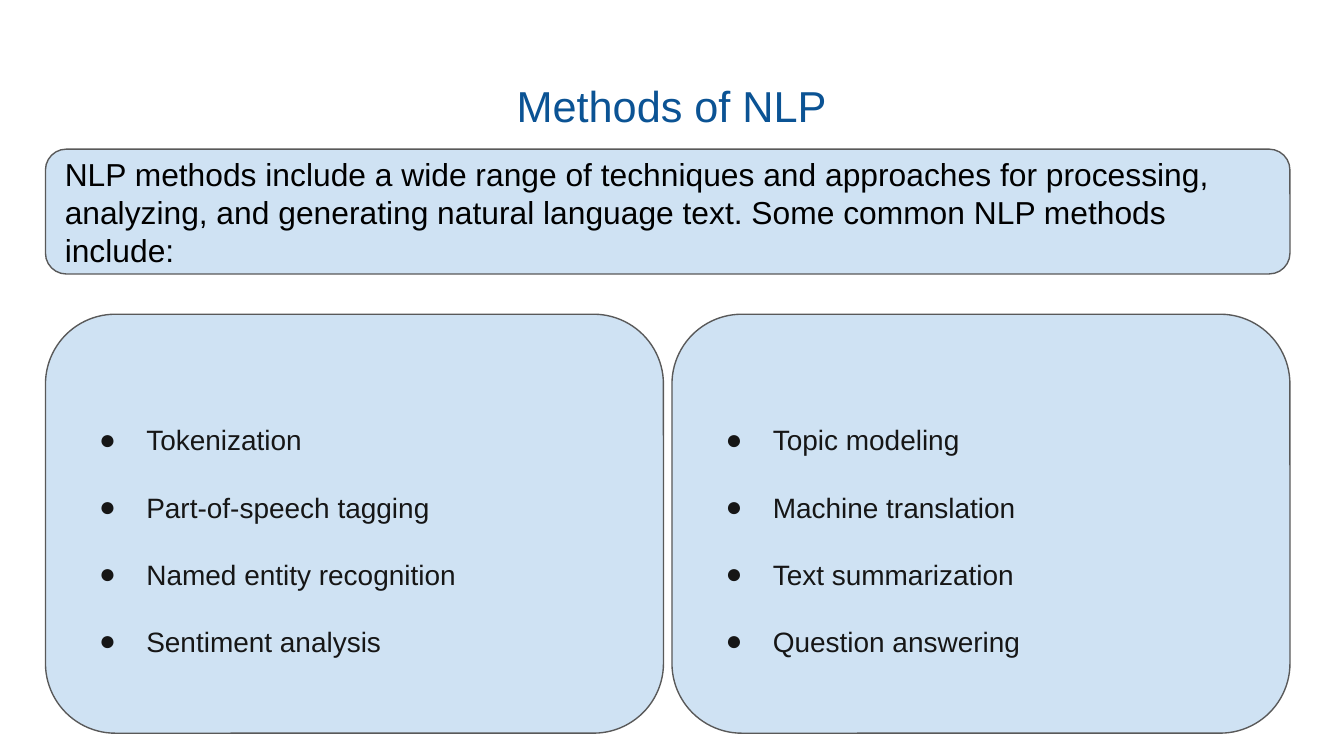
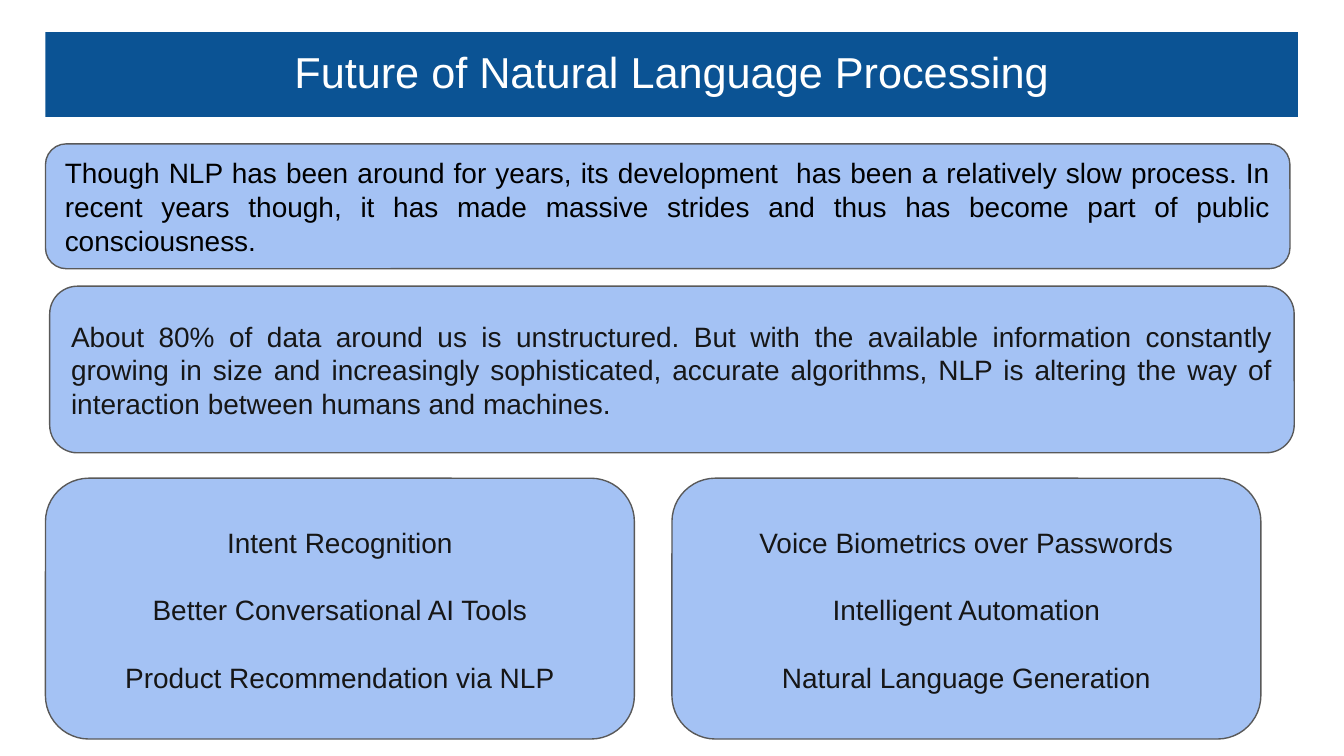
from lxml import etree
from pptx import Presentation
from pptx import util as u
from pptx.dml.color import RGBColor
from pptx.enum import shapes, text
from pptx.oxml.ns import qn

COLORS = {
    "navy": "0B5394",
    "pale": "CFE2F3",
    "sky": "A4C2F4",
    "outline": "595959",
    "black": "000000",
    "ink": "161616",
    "white": "FFFFFF",
}
FONT = "Arial"
LEFT, RIGHT_COLUMN = 0.86, 12.7
PANEL_WIDTH = 23.52
ALIGN = text.PP_ALIGN


def write(shape, lines, size, color, align, spacing=1.0):
    """Fill a shape with one paragraph per line, all in the same style."""
    frame = shape.text_frame
    frame.word_wrap = True
    frame.margin_left = frame.margin_right = u.Cm(0.25)
    frame.margin_top = frame.margin_bottom = u.Cm(0.25)
    frame.text = "\n".join(lines)
    for paragraph in frame.paragraphs:
        paragraph.alignment = align
        paragraph.line_spacing = spacing
        font = paragraph.runs[0].font
        font.name, font.size = FONT, u.Pt(size)
        font.color.rgb = RGBColor.from_string(COLORS[color])
    return frame


def add_panel(slide, left, top, width, height, fill):
    """Add a rounded, outlined panel with vertically centred text."""
    panel = slide.shapes.add_shape(
        shapes.MSO_SHAPE.ROUNDED_RECTANGLE,
        u.Cm(left), u.Cm(top), u.Cm(width), u.Cm(height))
    panel.shadow.inherit = False
    panel.fill.solid()
    panel.fill.fore_color.rgb = RGBColor.from_string(COLORS[fill])
    panel.line.color.rgb = RGBColor.from_string(COLORS["outline"])
    panel.line.width = u.Pt(0.75)
    panel.text_frame.vertical_anchor = text.MSO_ANCHOR.MIDDLE
    return panel


prs = Presentation()
prs.slide_width, prs.slide_height = u.Cm(25.4), u.Cm(14.29)

# Slides and their titles
titles = [
    ("Methods of NLP", 1.24, "navy", None),
    ("Future of Natural Language Processing", 0.61, "white", "navy"),
]
for heading, top, color, band in titles:
    slide = prs.slides.add_slide(prs.slide_layouts[6])
    title = slide.shapes.add_textbox(u.Cm(LEFT), u.Cm(top), u.Cm(23.67), u.Cm(1.6))
    write(title, [heading], 23.2, color, ALIGN.CENTER)
    if band:
        title.fill.solid()
        title.fill.fore_color.rgb = RGBColor.from_string(COLORS[band])
methods, future = prs.slides

# Methods: introduction
intro = add_panel(methods, LEFT, 2.82, PANEL_WIDTH, 2.36, "pale")
write(intro, [
    "NLP methods include a wide range of techniques and approaches for "
    "processing, analyzing, and generating natural language text. "
    "Some common NLP methods include:"
], 17, "black", ALIGN.LEFT)

# Methods: two bulleted columns
method_columns = [
    (RIGHT_COLUMN, ["Topic modeling", "Machine translation",
                    "Text summarization", "Question answering"]),
    (LEFT, ["Tokenization", "Part-of-speech tagging",
            "Named entity recognition", "Sentiment analysis"]),
]
for left, names in method_columns:
    column = add_panel(methods, left, 5.94, 11.68, 7.92, "pale")
    frame = write(column, names, 15, "ink", ALIGN.LEFT, spacing=2.0)
    for paragraph in frame.paragraphs:
        props = paragraph._p.get_or_add_pPr()
        props.set("marL", str(u.Cm(1.27)))
        props.set("indent", str(u.Cm(-0.89)))
        bullet_color = etree.SubElement(props, qn("a:buClr"))
        etree.SubElement(bullet_color, qn("a:srgbClr"), val=COLORS["ink"])
        etree.SubElement(props, qn("a:buFont"), typeface=FONT)
        etree.SubElement(props, qn("a:buChar"), char="●")

# Future: two statements
statements = [
    (LEFT, 2.72, 2.36, "black",
     "Though NLP has been around for years, its development  has been a "
     "relatively slow process. In recent years though, it has made massive "
     "strides and thus has become part of public consciousness."),
    (0.94, 5.41, 3.15, "ink",
     "About 80% of data around us is unstructured. But with the available "
     "information constantly growing in size and increasingly sophisticated, "
     "accurate algorithms, NLP is altering the way of interaction between "
     "humans and machines."),
]
for left, top, height, color, statement in statements:
    panel = add_panel(future, left, top, PANEL_WIDTH, height, "sky")
    write(panel, [statement], 15, color, ALIGN.JUSTIFY)

# Future: two columns of trends
trend_columns = [
    (LEFT, ["Intent Recognition", "Better Conversational AI Tools",
            "Product Recommendation via NLP"]),
    (RIGHT_COLUMN, ["Voice Biometrics over Passwords", "Intelligent Automation",
                    "Natural Language Generation"]),
]
for left, trends in trend_columns:
    column = add_panel(future, left, 9.04, 11.13, 4.93, "sky")
    frame = write(column, trends, 15, "ink", ALIGN.CENTER, spacing=2.0)
    # Offsets the space that double line spacing puts above the first line
    frame.margin_bottom = u.Cm(0.84)

prs.save("out.pptx")
